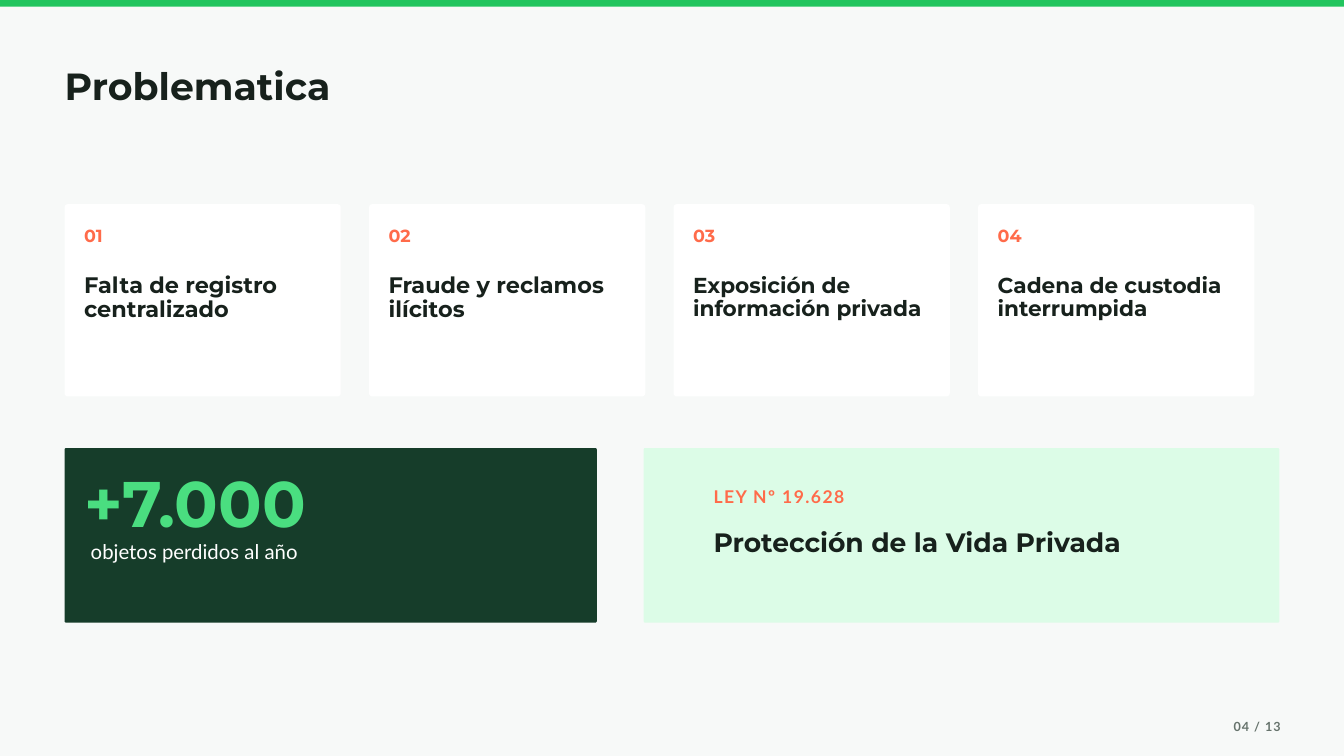
from pptx import Presentation
from pptx.dml.color import RGBColor
from pptx.enum import shapes, text
from pptx.util import Cm, Pt

PAPER = RGBColor(0xF7, 0xF9, 0xF8)
INK = RGBColor(0x17, 0x21, 0x1C)
GREEN = RGBColor(0x22, 0xC5, 0x5E)
LIME = RGBColor(0x4A, 0xDE, 0x80)
FOREST = RGBColor(0x16, 0x3D, 0x2A)
MINT = RGBColor(0xDC, 0xFC, 0xE7)
CORAL = RGBColor(0xFF, 0x6B, 0x4A)
GREY = RGBColor(0x66, 0x73, 0x6C)
WHITE = RGBColor(0xFF, 0xFF, 0xFF)

HEAD, BODY = "Montserrat", "Lato"

# Content: number, heading lines, heading size, line spacing (pt)
CARDS = [
    ("01", "Falta de registro\ncentralizado", 24, 25.2),
    ("02", "Fraude y reclamos\nilícitos", 24, 25.2),
    ("03", "Exposición de\ninformación privada", 23.2, 24.4),
    ("04", "Cadena de custodia\ninterrumpida", 23.2, 24.4),
]

# Left, width, colour of the lower panels
PANELS = [(2.44, 20.12, FOREST), (24.33, 24.03, MINT)]

# Text, (left, top, width, height) in cm, size, line spacing, colour, style
TEXTS = [
    ("Problematica", (2.44, 2.59, 39.67, 1.5), 40.5, 42.5, INK, {}),
    ("+7.000", (3.18, 17.86, 12.45, 2.64), 69, 72.5, LIME, {}),
    ("objetos perdidos al año", (3.43, 20.27, 13.23, 1.02), 21.8, 29.4, WHITE,
     {"font": BODY, "bold": False}),
    ("LEY Nº 19.628", (26.97, 18.26, 13.23, 0.89), 18.8, 26.2, CORAL,
     {"font": BODY, "tracking": 1.5}),
    ("Protección de la Vida Privada", (26.97, 20.04, 17.2, 1.04), 28.5, 29.9, INK, {}),
    ("04 / 13", (46.56, 27.08, 1.85, 0.61), 13.5, 18.9, GREY,
     {"font": BODY, "tracking": 1.1, "align": text.PP_ALIGN.RIGHT}),
]

MARGIN = 2.44
CARD_TOP, CARD_WIDTH, CARD_HEIGHT, CARD_PITCH = 7.72, 10.44, 7.27, 11.51
CARD_PAD = 0.74
PANEL_TOP, PANEL_HEIGHT = 16.94, 6.6


def add_block(page, left, top, width, height, colour, radius=0):
    kind = shapes.MSO_SHAPE.ROUNDED_RECTANGLE if radius else shapes.MSO_SHAPE.RECTANGLE
    block = page.shapes.add_shape(kind, Cm(left), Cm(top), Cm(width), Cm(height))
    if radius:
        block.adjustments[0] = radius / min(width, height)
    block.fill.solid()
    block.fill.fore_color.rgb = colour
    block.line.fill.background()
    block.shadow.inherit = False


def add_text(page, words, area, size, spacing, colour, font=HEAD, bold=True,
             tracking=0, align=text.PP_ALIGN.LEFT):
    frame = page.shapes.add_textbox(*map(Cm, area)).text_frame
    frame.word_wrap = True
    frame.margin_left = frame.margin_right = frame.margin_top = frame.margin_bottom = 0
    frame.text = words
    for para in frame.paragraphs:
        para.line_spacing = Pt(spacing)
        para.alignment = align
        for span in para.runs:
            span.font.name = font
            span.font.size = Pt(size)
            span.font.bold = bold
            span.font.color.rgb = colour
            if tracking:
                span.font._element.set("spc", str(round(tracking * 100)))


def main():
    deck = Presentation()
    deck.slide_width, deck.slide_height = Cm(50.8), Cm(28.58)
    page = deck.slides.add_slide(deck.slide_layouts[6])
    page.background.fill.solid()
    page.background.fill.fore_color.rgb = PAPER

    # Top bar
    add_block(page, 0, 0, 50.8, 0.25, GREEN)

    # Problem cards
    for index, (number, heading, size, spacing) in enumerate(CARDS):
        left = MARGIN + index * CARD_PITCH
        inner = left + CARD_PAD
        add_block(page, left, CARD_TOP, CARD_WIDTH, CARD_HEIGHT, WHITE, 0.12)
        add_text(page, number, (inner, 8.59, 1.85, 0.74), 18.8, 19.7, CORAL)
        add_text(page, heading, (inner, 10.39, 8.74, 1.8), size, spacing, INK)

    # Lower panels
    for left, width, colour in PANELS:
        add_block(page, left, PANEL_TOP, width, PANEL_HEIGHT, colour, 0.06)

    # Title, panel texts and page number
    for words, area, size, spacing, colour, style in TEXTS:
        add_text(page, words, area, size, spacing, colour, **style)

    deck.save("out.pptx")


if __name__ == "__main__":
    main()
